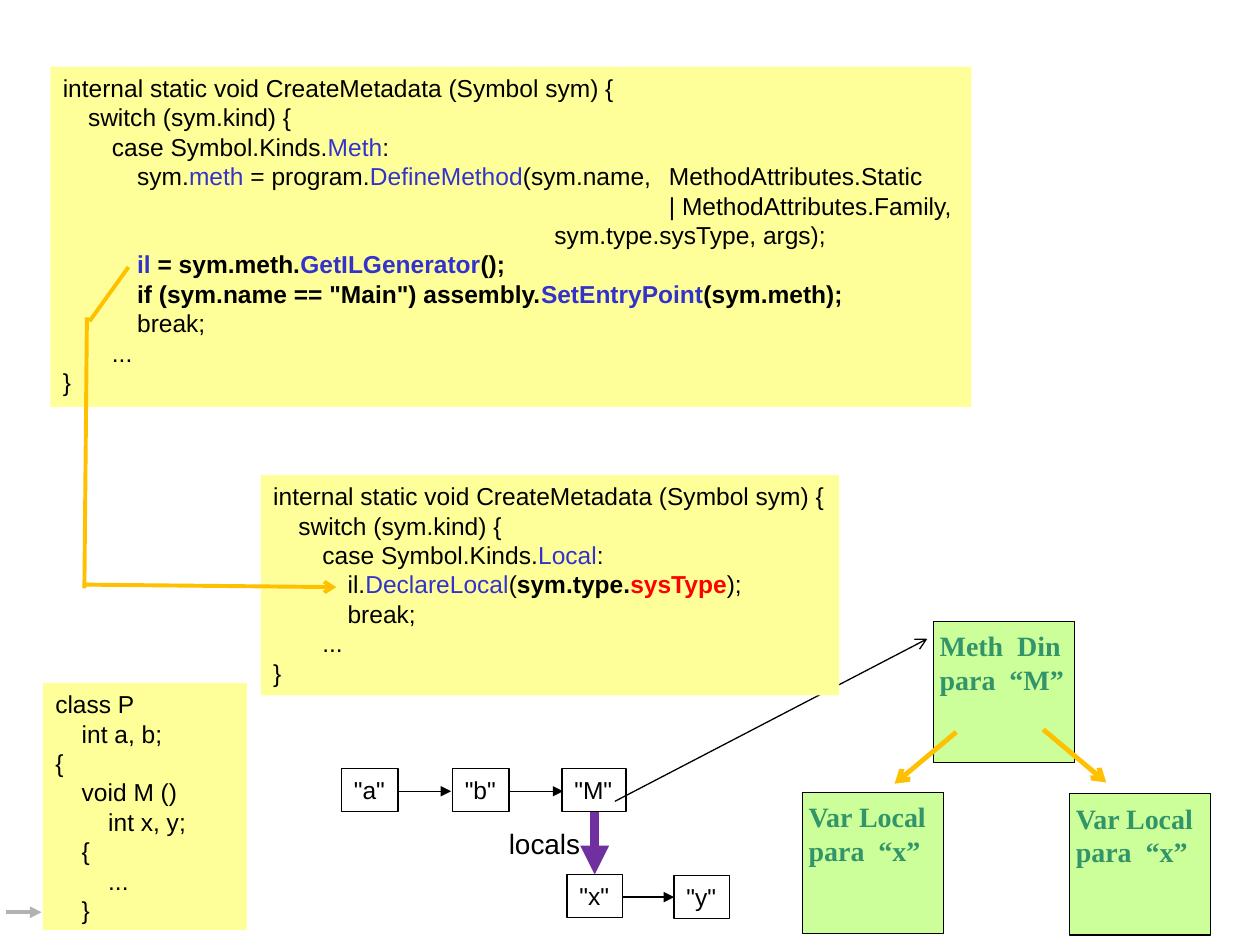
import pptx
import pptx.util
import pptx.dml.color
import pptx.enum.shapes
import pptx.enum.text
import pptx.oxml
import pptx.oxml.ns
from lxml import etree
from typing import NamedTuple, Optional

UNIT = 0.1
COLS, ROWS = 100, 75
BLACK, BLUE, RED = "000000", "3333CC", "FF0000"
YELLOW, GREEN, TEAL = "FFFF99", "CCFF99", "32946A"
GOLD, PURPLE, GREY = "FFC000", "7030A0", "B2B2B2"


class Bit(NamedTuple):
    text: str
    tone: str = BLACK
    bold: bool = False


class Row(NamedTuple):
    depth: int
    bits: tuple


class Area(NamedTuple):
    col: float
    row: float
    wide: float
    high: float


class Code(NamedTuple):
    area: Area
    tabs: tuple
    rows: tuple
    wrap: bool = False


class Cell(NamedTuple):
    text: str
    area: Area


class Note(NamedTuple):
    col: float
    row: float
    wide: float
    rows: tuple


class Link(NamedTuple):
    start: tuple
    end: tuple
    tone: str = BLACK
    width: float = 0.75
    head: Optional[str] = "triangle"


def span(units: float) -> pptx.util.Emu:
    return pptx.util.Inches(units * UNIT)


def paint(tone: str) -> pptx.dml.color.RGBColor:
    return pptx.dml.color.RGBColor.from_string(tone)


def plain(depth: int, text: str) -> Row:
    return Row(depth, (Bit(text),))


def write(shape, rows: tuple, size: float, face: str = "Arial",
          tabs: tuple = (), wrap: bool = False) -> None:
    frame = shape.text_frame
    frame.word_wrap = wrap
    frame.auto_size = pptx.enum.text.MSO_AUTO_SIZE.SHAPE_TO_FIT_TEXT
    frame.vertical_anchor = pptx.enum.text.MSO_ANCHOR.TOP
    for index, row in enumerate(rows):
        para = frame.add_paragraph() if index else frame.paragraphs[0]
        para.alignment = pptx.enum.text.PP_ALIGN.LEFT
        if tabs:
            stops = etree.SubElement(para._p.get_or_add_pPr(), pptx.oxml.ns.qn("a:tabLst"))
            for stop in tabs:
                etree.SubElement(stops, pptx.oxml.ns.qn("a:tab"),
                                 pos=str(int(span(stop))), algn="l")
        for place, bit in enumerate(row.bits):
            run = para.add_run()
            run.text = bit.text if place else "\t" * row.depth + bit.text
            run.font.size = pptx.util.Pt(size)
            run.font.name = face
            run.font.bold = bit.bold
            run.font.color.rgb = paint(bit.tone)


def block(slide, area: Area, fill: Optional[str], edge: Optional[str]):
    shape = slide.shapes.add_shape(pptx.enum.shapes.MSO_SHAPE.RECTANGLE, *map(span, area))
    shape.shadow.inherit = False
    if fill:
        shape.fill.solid()
        shape.fill.fore_color.rgb = paint(fill)
    else:
        shape.fill.background()
    if edge:
        shape.line.color.rgb = paint(edge)
        shape.line.width = pptx.util.Pt(0.75)
    else:
        shape.line.fill.background()
    return shape


def label(slide, area: Area, rows: tuple, face: str) -> None:
    write(slide.shapes.add_textbox(*map(span, area)), rows, 16, face)


def draw_code(slide, code: Code) -> None:
    write(block(slide, code.area, YELLOW, None), code.rows, 14,
          tabs=code.tabs, wrap=code.wrap)


def draw_cell(slide, cell: Cell) -> None:
    write(block(slide, cell.area, None, BLACK), (plain(0, cell.text),), 14)


def draw_note(slide, note: Note) -> None:
    block(slide, Area(note.col, note.row, 11.2, 11.2), GREEN, BLACK)
    rows = tuple(Row(0, (Bit(text, TEAL, True),)) for text in note.rows)
    label(slide, Area(note.col - 0.5, note.row + 0.1, note.wide, 6.4), rows, "Times New Roman")


def draw_link(slide, link: Link) -> None:
    line = slide.shapes.add_connector(
        pptx.enum.shapes.MSO_CONNECTOR.STRAIGHT, *map(span, link.start + link.end))
    line.line.color.rgb = paint(link.tone)
    line.line.width = pptx.util.Pt(link.width)
    if link.head:
        etree.SubElement(line.line._get_or_add_ln(), pptx.oxml.ns.qn("a:tailEnd"), type=link.head)
    etree.SubElement(line._element.spPr, pptx.oxml.ns.qn("a:effectLst"))


STEPS = (2, 3.9, 5.9, 7.8, 16.6)
OPEN = (plain(0, "internal static void CreateMetadata (Symbol sym) {"),
        plain(1, "switch (sym.kind) {"))
CLOSE = (plain(3, "break;"), plain(2, "..."), plain(0, "}"))

CODES = (
    Code(Area(3.4, 54.2, 16.2, 19.6), (2.1, 4.2, 6.2), (
        plain(0, "class P"), plain(1, "int a, b;"), plain(0, "{"),
        plain(1, "void M ()"), plain(2, "int x, y;"), plain(1, "{"),
        plain(2, "..."), plain(1, "}")), True),
    Code(Area(20.7, 37.7, 45.9, 17.5), STEPS + (47.1,), OPEN + (
        Row(2, (Bit("case Symbol.Kinds."), Bit("Local", BLUE), Bit(":"))),
        Row(3, (Bit("il."), Bit("DeclareLocal", BLUE), Bit("("),
                Bit("sym.type.", bold=True), Bit("sysType", RED, True), Bit(");"))),
    ) + CLOSE),
    Code(Area(4, 5.3, 73.1, 27), STEPS + (37.4, 48.1), OPEN + (
        Row(2, (Bit("case Symbol.Kinds."), Bit("Meth", BLUE), Bit(":"))),
        Row(3, (Bit("sym."), Bit("meth", BLUE), Bit(" = program."),
                Bit("DefineMethod", BLUE), Bit("(sym.name,\tMethodAttributes.Static"))),
        plain(7, "| MethodAttributes.Family,"),
        plain(6, "   sym.type.sysType, args);"),
        Row(3, (Bit("il", BLUE, True), Bit(" = sym.meth.", bold=True),
                Bit("GetILGenerator", BLUE, True), Bit("();", bold=True))),
        Row(3, (Bit('if (sym.name == "Main") assembly.', bold=True),
                Bit("SetEntryPoint", BLUE, True), Bit("(sym.meth);", bold=True))),
    ) + CLOSE),
)

CELLS = (
    Cell('"a"', Area(27.1, 61, 4.5, 3.4)),
    Cell('"b"', Area(35.9, 61, 4.5, 3.4)),
    Cell('"M"', Area(44.6, 61, 5.1, 3.4)),
    Cell('"x"', Area(45, 69.4, 4.4, 3.4)),
    Cell('"y"', Area(53.5, 69.5, 4.4, 3.4)),
)

NOTES = (
    Note(74.1, 49.3, 12, ("Meth  Din", "para  “M”")),
    Note(84.9, 63, 11.4, ("Var Local", "para  “x”")),
    Note(63.7, 62.9, 11.4, ("Var Local", "para  “x”")),
)

LISTS = (
    Link((31.7, 62.8), (35.8, 62.8)),
    Link((40.5, 62.8), (44.7, 62.8)),
    Link((49.4, 71.2), (53.5, 71.2)),
    Link((47.2, 64.4), (47.2, 69.4), PURPLE, 5.5),
    Link((0.5, 72.4), (3.3, 72.4), GREY, 2.25),
    Link((48.8, 63.6), (73.6, 50.7), head="arrow"),
)

FLOWS = (
    Link((75.9, 58.1), (71, 62.2), GOLD, 2.75, "arrow"),
    Link((82.8, 57.9), (87.8, 62.1), GOLD, 2.75, "arrow"),
    Link((10.2, 21.2), (7.1, 25.5), GOLD, 2.25, None),
    Link((6.6, 46.4), (26.7, 46.6), GOLD, 2.25, "arrow"),
    Link((6.9, 25.2), (6.7, 46.7), GOLD, 2.25, None),
)


def main() -> None:
    deck = pptx.Presentation()
    deck.slide_width, deck.slide_height = span(COLS), span(ROWS)
    slide = deck.slides.add_slide(deck.slide_layouts[6])
    for draw, items in ((draw_link, LISTS), (draw_code, CODES), (draw_cell, CELLS),
                        (draw_note, NOTES), (draw_link, FLOWS)):
        for item in items:
            draw(slide, item)
    label(slide, Area(39.4, 65.1, 7.7, 3.7), (plain(0, "locals"),), "Arial")
    deck.save("out.pptx")


if __name__ == "__main__":
    main()
